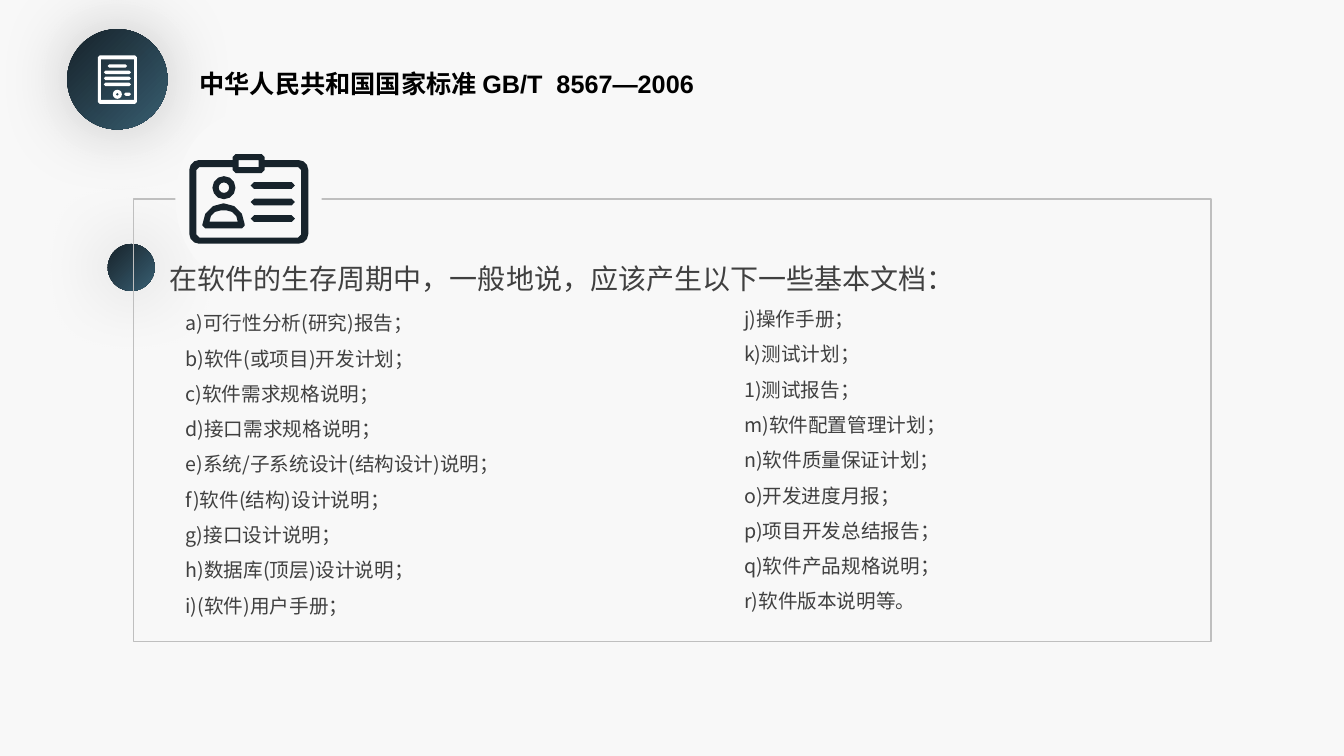
"""Builds a slide listing the basic software documents of GB/T 8567—2006."""
from dataclasses import dataclass
from math import cos, pi, sin

from lxml.etree import SubElement
from pptx import Presentation
from pptx.dml.color import RGBColor
from pptx.enum.shapes import MSO_SHAPE
from pptx.enum.text import MSO_AUTO_SIZE
from pptx.oxml.ns import qn
from pptx.util import Pt


@dataclass(frozen=True)
class Theme:
    paper: RGBColor = RGBColor.from_string("F8F8F8")
    black: RGBColor = RGBColor.from_string("000000")
    white: RGBColor = RGBColor.from_string("FFFFFF")
    body: RGBColor = RGBColor.from_string("404040")
    frame: RGBColor = RGBColor.from_string("BFBFBF")
    navy: RGBColor = RGBColor.from_string("17232B")
    steel: RGBColor = RGBColor.from_string("395F72")
    latin: str = "Arial"
    cjk: str = "Noto Sans CJK SC"
    title_size: int = 18
    intro_size: int = 20
    list_size: int = 14


theme = Theme()
prs = Presentation()
prs.slide_width, prs.slide_height = Pt(960), Pt(540)
s = prs.slides.add_slide(prs.slide_layouts[6])
s.background.fill.solid()
s.background.fill.fore_color.rgb = theme.paper


def add_text(text, *, box, size, font=theme.cjk, color=theme.body, bold=False, spacing=1.5):
    tf = s.shapes.add_textbox(*(Pt(v) for v in box)).text_frame
    tf.word_wrap = True
    tf.auto_size = MSO_AUTO_SIZE.SHAPE_TO_FIT_TEXT
    for i, line in enumerate(text.split("\n")):
        p = tf.paragraphs[0] if i == 0 else tf.add_paragraph()
        p.line_spacing = spacing
        r = p.add_run()
        r.text = line
        r.font.size, r.font.bold = Pt(size), bold
        r.font.color.rgb = color
        r.font.name = font
        SubElement(r.font._element, qn("a:ea"), typeface=theme.cjk)


def add_icon(parts, color):
    """Draw (x, y, w, h, top radius, bottom radius) parts as one outline."""
    builder = None
    for x, y, w, h, top, bottom in parts:
        corners = [(x + w - bottom, y + h - bottom, bottom), (x + bottom, y + h - bottom, bottom),
                   (x + top, y + top, top), (x + w - top, y + top, top)]
        points = []
        for k, (cx, cy, rad) in enumerate(corners):
            steps = 0 if rad == 0 else 1 if rad < 3 else 3
            for n in range(steps + 1):
                angle = (k + n / max(steps, 1)) * pi / 2
                points.append((Pt(round(cx + rad * cos(angle), 2)),
                               Pt(round(cy + rad * sin(angle), 2))))
        points = list(dict.fromkeys(points))
        if builder is None:
            builder = s.shapes.build_freeform(*points[0])
        else:
            builder.move_to(*points[0])
        builder.add_line_segments(points[1:], close=True)
    sp = builder.convert_to_shape()
    sp.fill.solid()
    sp.fill.fore_color.rgb = color
    sp.line.fill.background()
    sp.shadow.inherit = False
    return sp


add_text("中华人民共和国国家标准 GB/T  8567—2006", box=(135.4, 45, 625.7, 29),
         size=theme.title_size, font=theme.latin, color=theme.black, bold=True, spacing=1)

glowing = []
badge = (48, 20.8, 71.6)
dot = (77, 174.3, 33.5)
for left, top, size in (badge, dot):
    sp = s.shapes.add_shape(MSO_SHAPE.OVAL, Pt(left), Pt(top), Pt(size), Pt(size))
    sp.fill.gradient()
    sp.fill.gradient_angle = 315
    for stop, color, position in zip(sp.fill.gradient_stops, (theme.navy, theme.steel), (0, 1)):
        stop.color.rgb = color
        stop.position = position
    sp.line.fill.background()
    sp.shadow.inherit = False
    glowing.append(sp)

page = [(69.9, 39.6, 28, 34.6, 1.4, 1.4), (72, 42.5, 23.8, 28.8, 0, 0),
        (77, 45.9, 13.9, 2.5, 1.25, 1.25)]
page += [(74.2, 50.4 + 4.3 * i, 19.4, 2.5, 1.25, 1.25) for i in range(3)]
page += [(80.6, 64.1, 6.5, 6.5, 3.25, 3.25), (82.7, 66.2, 2.3, 2.3, 1.15, 1.15),
         (88.6, 66.2, 5, 2.2, 1.1, 1.1)]
glowing.append(add_icon(page, theme.white))

for sp in glowing:
    effects = sp._element.spPr.find(qn("a:effectLst"))
    shadow = SubElement(effects, qn("a:outerShdw"), blurRad=str(Pt(53)), dist="0", dir="0",
                        algn="ctr", rotWithShape="0")
    tint = SubElement(shadow, qn("a:srgbClr"), val=str(theme.black))
    SubElement(tint, qn("a:alpha"), val="20000")

add_text("""a)可行性分析(研究)报告；
b)软件(或项目)开发计划；
c)软件需求规格说明；
d)接口需求规格说明；
e)系统/子系统设计(结构设计)说明；
f)软件(结构)设计说明；
g)接口设计说明；
h)数据库(顶层)设计说明；
i)(软件)用户手册；""", box=(125.5, 210.4, 333.4, 236.2), size=theme.list_size)
add_text("""j)操作手册；
k)测试计划；
1)测试报告；
m)软件配置管理计划；
n)软件质量保证计划；
o)开发进度月报；
p)项目开发总结报告；
q)软件产品规格说明；
r)软件版本说明等。""", box=(524.5, 207.4, 309.6, 262), size=theme.list_size)

frame = s.shapes.add_shape(MSO_SHAPE.RECTANGLE, Pt(95.3), Pt(142.2), Pt(769.7), Pt(316))
frame.fill.background()
frame.line.color.rgb = theme.frame
frame.line.width = Pt(1)
frame.shadow.inherit = False

gap = s.shapes.add_shape(MSO_SHAPE.OVAL, Pt(125.3), Pt(79.9), Pt(104.4), Pt(124.6))
gap.fill.solid()
gap.fill.fore_color.rgb = theme.paper
gap.line.fill.background()
gap.shadow.inherit = False

card = [(135.2, 114.3, 85, 59.8, 7, 7), (140.2, 119.3, 74.9, 50.4, 2.2, 2.2)]
clip = [(166.1, 110, 23, 4.3, 2.2, 0), (166.1, 119.3, 23, 4.3, 0, 2.2),
        (170.4, 114.3, 14.4, 5, 0, 0)]
person = [(151.7, 125.8, 16.5, 16.5, 8.25, 8.25), (156.2, 130.3, 7.5, 7.5, 3.75, 3.75),
          (144.6, 145.2, 30.2, 18, 15.1, 2), (149.6, 150.3, 20.2, 8, 8, 0)]
lines = [(179.1, 130.1 + 11.8 * i, 31.6, 4.8, 2.4, 2.4) for i in range(3)]
add_icon(card + clip + person + lines, theme.navy)

add_text("在软件的生存周期中，一般地说，应该产生以下一些基本文档：",
         box=(114, 171.4, 732.2, 39.6), size=theme.intro_size)

prs.save("out.pptx")
